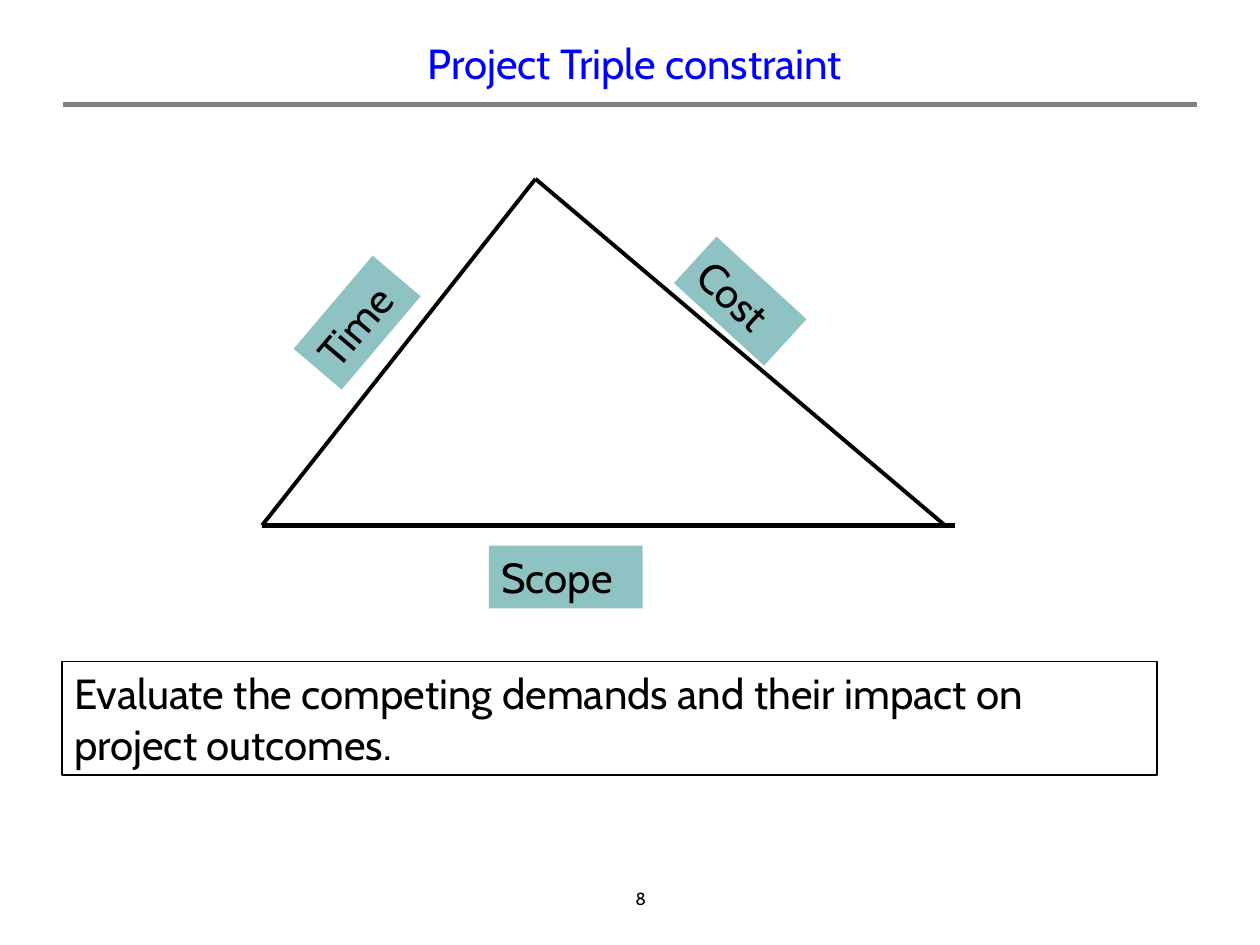
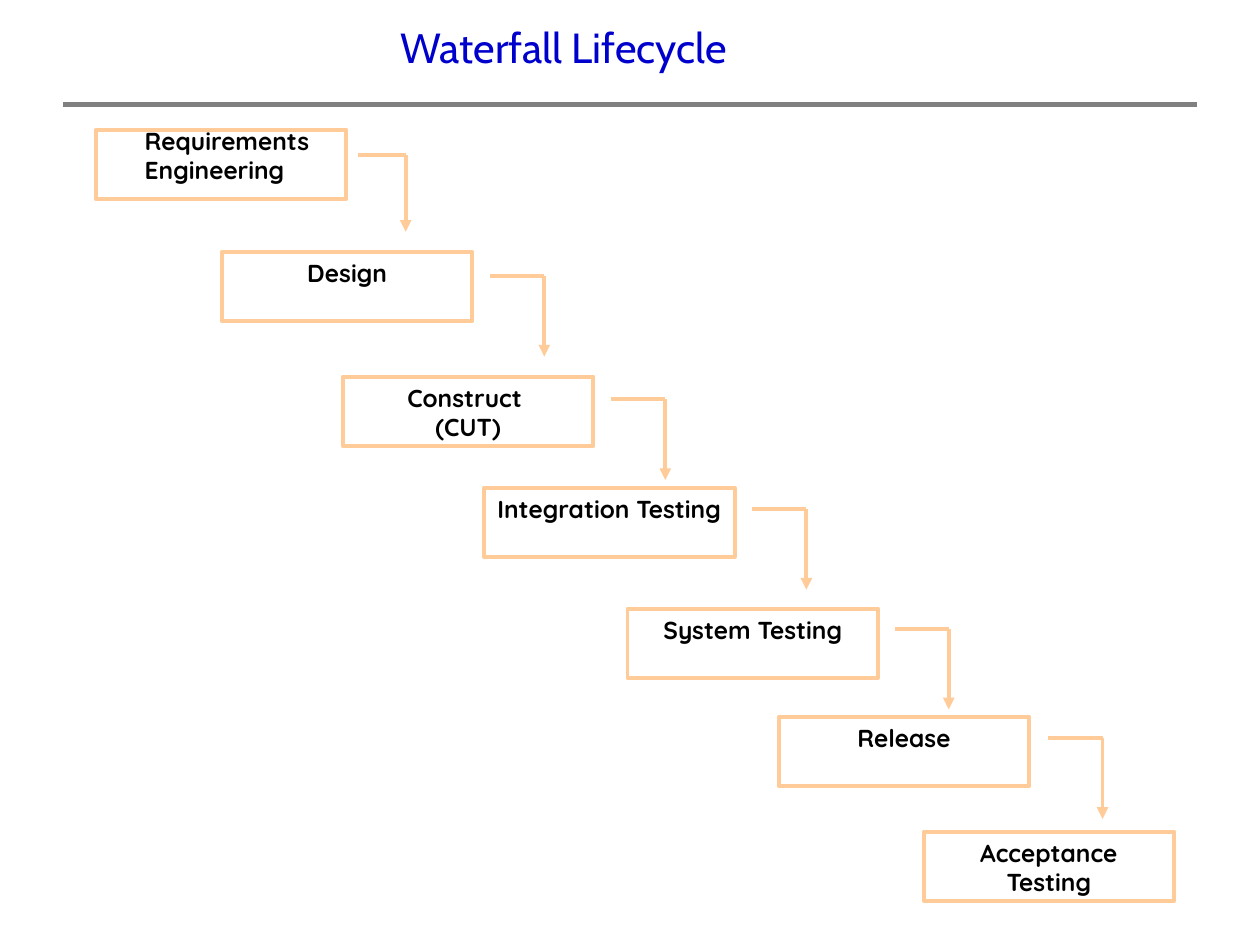
from lxml import etree
from pptx import Presentation
from pptx.dml.color import RGBColor
from pptx.enum.shapes import MSO_CONNECTOR, MSO_SHAPE
from pptx.enum.text import MSO_ANCHOR, PP_ALIGN
from pptx.oxml.ns import qn
from pptx.util import Inches, Pt

STRAIGHT = MSO_CONNECTOR.STRAIGHT
RECT = MSO_SHAPE.RECTANGLE
TOP, MIDDLE, BOTTOM = MSO_ANCHOR.TOP, MSO_ANCHOR.MIDDLE, MSO_ANCHOR.BOTTOM
LEFT, CENTER = PP_ALIGN.LEFT, PP_ALIGN.CENTER
MAIN, STEP = "Cabin", "Quicksand"
BLACK, GRAY, TEAL, PEACH = "000000", "808080", "8FC2C3", "FFCC99"
color = RGBColor.from_string


def line(slide, start, end, hue, width, arrow=False):
    item = slide.shapes.add_connector(STRAIGHT, *map(Inches, start + end))
    item.line.color.rgb = color(hue)
    item.line.width = Pt(width)
    if arrow:
        tail = etree.SubElement(item.line._get_or_add_ln(), qn("a:tailEnd"))
        tail.set("type", "triangle")
    etree.SubElement(item.element.spPr, qn("a:effectLst"))


def box(slide, at, words, size=24, font=MAIN, hue=BLACK, align=LEFT,
        anchor=TOP, fill=None, edge=None, width=1):
    place = map(Inches, at)
    if fill or edge:
        item = slide.shapes.add_shape(RECT, *place)
        item.shadow.inherit = False
        if fill:
            item.fill.solid()
            item.fill.fore_color.rgb = color(fill)
        else:
            item.fill.background()
        if edge:
            item.line.color.rgb = color(edge)
            item.line.width = Pt(width)
        else:
            item.line.fill.background()
    else:
        item = slide.shapes.add_textbox(*place)
    frame = item.text_frame
    frame.word_wrap = True
    frame.vertical_anchor = anchor
    if align == LEFT:
        frame.margin_right = 0
    for i, text in enumerate(words):
        para = frame.add_paragraph() if i else frame.paragraphs[0]
        para.alignment = align
        for j, part in enumerate(text.split("\n")):
            if j:
                para.add_line_break()
            run = para.add_run()
            run.text = part
            run.font.name = font
            run.font.size = Pt(size)
            run.font.bold = font == STEP
            run.font.color.rgb = color(hue)
    return item


deck = Presentation()
deck.slide_width, deck.slide_height = Inches(10), Inches(7.5)

titles = [
    ("Project Triple constraint", (0.83, 0.25, 8.42, 0.5), "0000FF", MIDDLE),
    ("Waterfall Lifecycle", (0.45, 0, 8.05, 0.62), "0000CC", BOTTOM),
]
slides = []
for text, at, hue, anchor in titles:
    slide = deck.slides.add_slide(deck.slide_layouts[6])
    line(slide, (0.5, 0.83), (9.5, 0.83), GRAY, 3)
    box(slide, at, [text], hue=hue, align=CENTER, anchor=anchor)
    slides.append(slide)
triple, cascade = slides

peak, base = (4.25, 1.42), (2.08, 4.17)
line(triple, peak, base, BLACK, 2.25)
line(triple, base, (7.58, 4.17), BLACK, 2.5)
line(triple, peak, (7.5, 4.17), BLACK, 2.25)

labels = [
    ("Scope", 3.88, 4.33, 1.22, 0),
    ("Time", 2.35, 2.31, 0.97, 310.3),
    ("Cost", 5.39, 2.14, 0.97, 42.5),
]
for text, x, y, wide, turn in labels:
    label = box(triple, (x, y, wide, 0.5), [text], fill=TEAL)
    label.rotation = turn

box(triple, (0.49, 5.25, 8.69, 0.9),
    ["Evaluate the competing demands and their impact on\nproject outcomes."],
    edge=BLACK)
box(triple, (4.5, 7, 1.17, 0.33), ["8"], size=10, align=CENTER)

steps = [
    (0.76, 1.03, []),
    (1.76, 2, ["Design"]),
    (2.72, 2.99, ["Construct ", "(CUT)"]),
    (3.84, 3.87, ["Integration Testing"]),
    (4.98, 4.83, ["System Testing"]),
    (6.18, 5.69, ["Release"]),
    (7.33, 6.6, ["Acceptance Testing"]),
]
for x, y, words in steps:
    box(cascade, (x, y, 1.99, 0.55), words, 14, STEP, align=CENTER,
        edge=PEACH, width=2.25)

bends = [
    (3.22, 1.23, 0.38, 0.61),
    (4.32, 2.19, 0.43, 0.64),
    (5.28, 3.17, 0.43, 0.64),
    (6.4, 4.04, 0.43, 0.64),
    (7.53, 4.99, 0.43, 0.64),
    (8.75, 5.86, 0.43, 0.64),
]
for x, y, reach, drop in bends:
    line(cascade, (x - reach, y), (x, y), PEACH, 2.25)
    line(cascade, (x, y), (x, y + drop), PEACH, 2.25, arrow=True)

box(cascade, (1.05, 0.95, 1.62, 0.57), ["Requirements", "Engineering"], 14, STEP)

deck.save("out.pptx")
